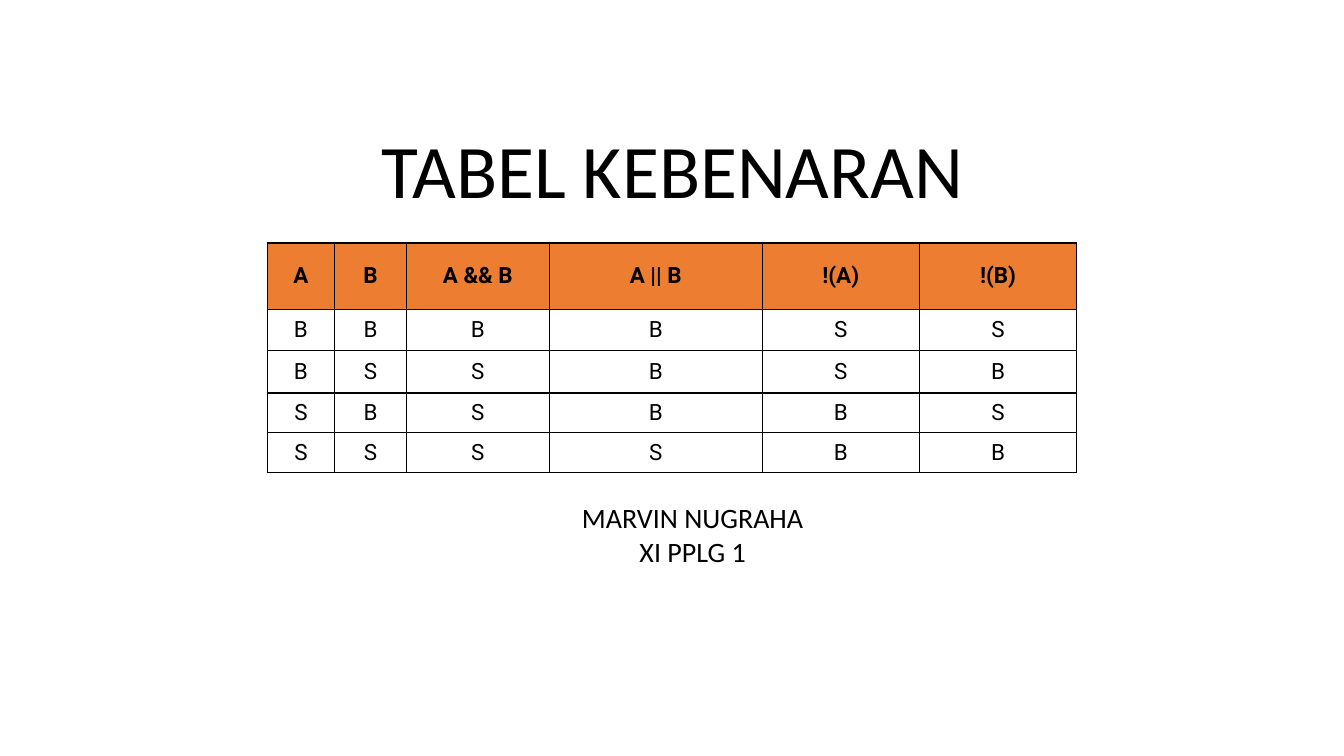
from itertools import product

from lxml import etree
from pptx import Presentation
from pptx.dml.color import RGBColor
from pptx.enum.text import MSO_ANCHOR, MSO_AUTO_SIZE, PP_ALIGN
from pptx.oxml.ns import qn
from pptx.util import Inches, Pt

BLACK = RGBColor(0x00, 0x00, 0x00)
WHITE = RGBColor(0xFF, 0xFF, 0xFF)
ORANGE = RGBColor(0xED, 0x7D, 0x31)

CENTER = PP_ALIGN.CENTER
MIDDLE = MSO_ANCHOR.MIDDLE
BOTTOM = MSO_ANCHOR.BOTTOM
NO_FIT = MSO_AUTO_SIZE.NONE
GROW = MSO_AUTO_SIZE.SHAPE_TO_FIT_TEXT

TITLE_FONT = {"name": "Calibri", "size": Pt(54), "bold": False}
AUTHOR_FONT = {"name": "Calibri", "size": Pt(20), "bold": False}
HEADER_FONT = {"name": "Roboto", "size": Pt(16), "bold": True}
VALUE_FONT = {"name": "Roboto", "size": Pt(16), "bold": False}

TITLE_BOX = (1.67, 1.23, 10, 0.95)
TABLE_BOX = (2.65, 2.41, 8.02, 2.28)
AUTHOR_BOX = (5.66, 4.92, 2.42, 0.77)

COLUMN_WIDTHS = (0.67, 0.71, 1.42, 2.11, 1.56, 1.56)
ROW_HEIGHTS = (0.66, 0.41, 0.42, 0.39, 0.4)
HEADERS = ("A", "B", "A && B", "A || B", "!(A)", "!(B)")


def set_all(target, values):
    for name, value in values.items():
        setattr(target, name, value)


def place(shape, box):
    names = ("left", "top", "width", "height")
    set_all(shape, dict(zip(names, map(Inches, box))))


def write(frame, text, font):
    para = frame.paragraphs[0]
    para.text = text
    para.alignment = CENTER
    for span in para.runs:
        set_all(span.font, font)
        span.font.color.rgb = BLACK
    return para


def truth_rows():
    rows = [HEADERS]
    for a, b in product((True, False), repeat=2):
        results = (a, b, a and b, a or b, not a, not b)
        rows.append(["B" if result else "S" for result in results])
    return rows


def outline_cell(cell):
    properties = cell._tc.get_or_add_tcPr()
    for position, side in enumerate(("lnL", "lnR", "lnT", "lnB")):
        line = etree.Element(qn(f"a:{side}"), w=str(Pt(1)))
        fill = etree.SubElement(line, qn("a:solidFill"))
        etree.SubElement(fill, qn("a:srgbClr"), val=str(BLACK))
        properties.insert(position, line)


def add_title(page, box):
    title = page.shapes.title
    place(title, box)
    frame = title.text_frame
    set_all(frame, {"vertical_anchor": BOTTOM, "word_wrap": True, "auto_size": NO_FIT})
    write(frame, "TABEL KEBENARAN", TITLE_FONT).line_spacing = 0.9


def add_truth_table(page, box):
    rows = truth_rows()
    table = page.shapes.add_table(len(rows), len(HEADERS), *map(Inches, box)).table
    for column, width in zip(table.columns, COLUMN_WIDTHS):
        column.width = Inches(width)
    for row, height, texts in zip(table.rows, ROW_HEIGHTS, rows):
        row.height = Inches(height)
        is_header = texts is HEADERS
        for cell, text in zip(row.cells, texts):
            cell.vertical_anchor = MIDDLE
            cell.fill.solid()
            cell.fill.fore_color.rgb = ORANGE if is_header else WHITE
            write(cell.text_frame, text, HEADER_FONT if is_header else VALUE_FONT)
            outline_cell(cell)


def add_author(page, box):
    frame = page.shapes.add_textbox(*map(Inches, box)).text_frame
    set_all(frame, {"word_wrap": False, "auto_size": GROW})
    write(frame, "MARVIN NUGRAHA\vXI PPLG 1", AUTHOR_FONT)


def main():
    deck = Presentation()
    set_all(deck, {"slide_width": Inches(13.33), "slide_height": Inches(7.5)})
    page = deck.slides.add_slide(deck.slide_layouts[0])
    subtitle = page.placeholders[1].element
    subtitle.getparent().remove(subtitle)
    add_title(page, TITLE_BOX)
    add_truth_table(page, TABLE_BOX)
    add_author(page, AUTHOR_BOX)
    deck.save("out.pptx")


if __name__ == "__main__":
    main()
